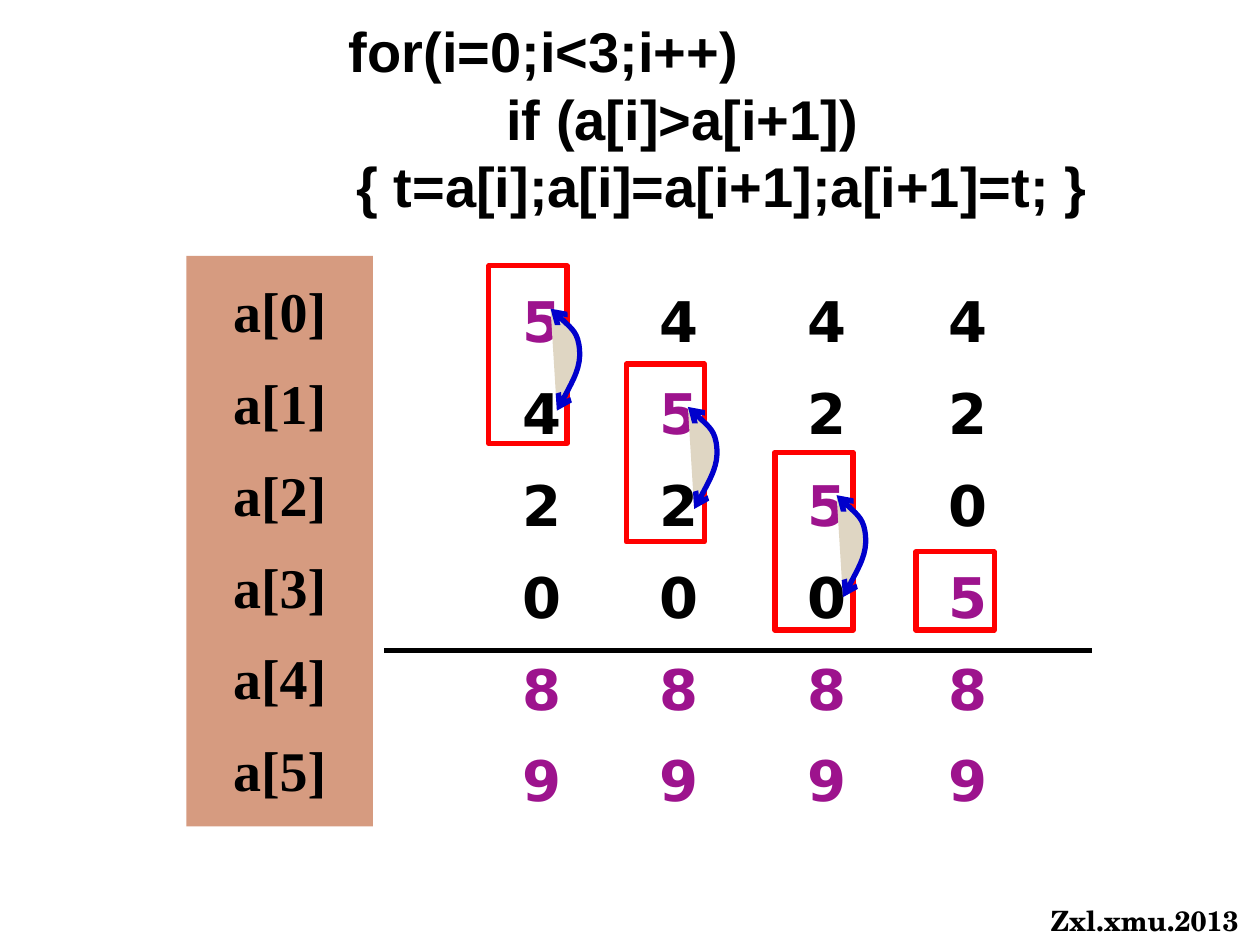
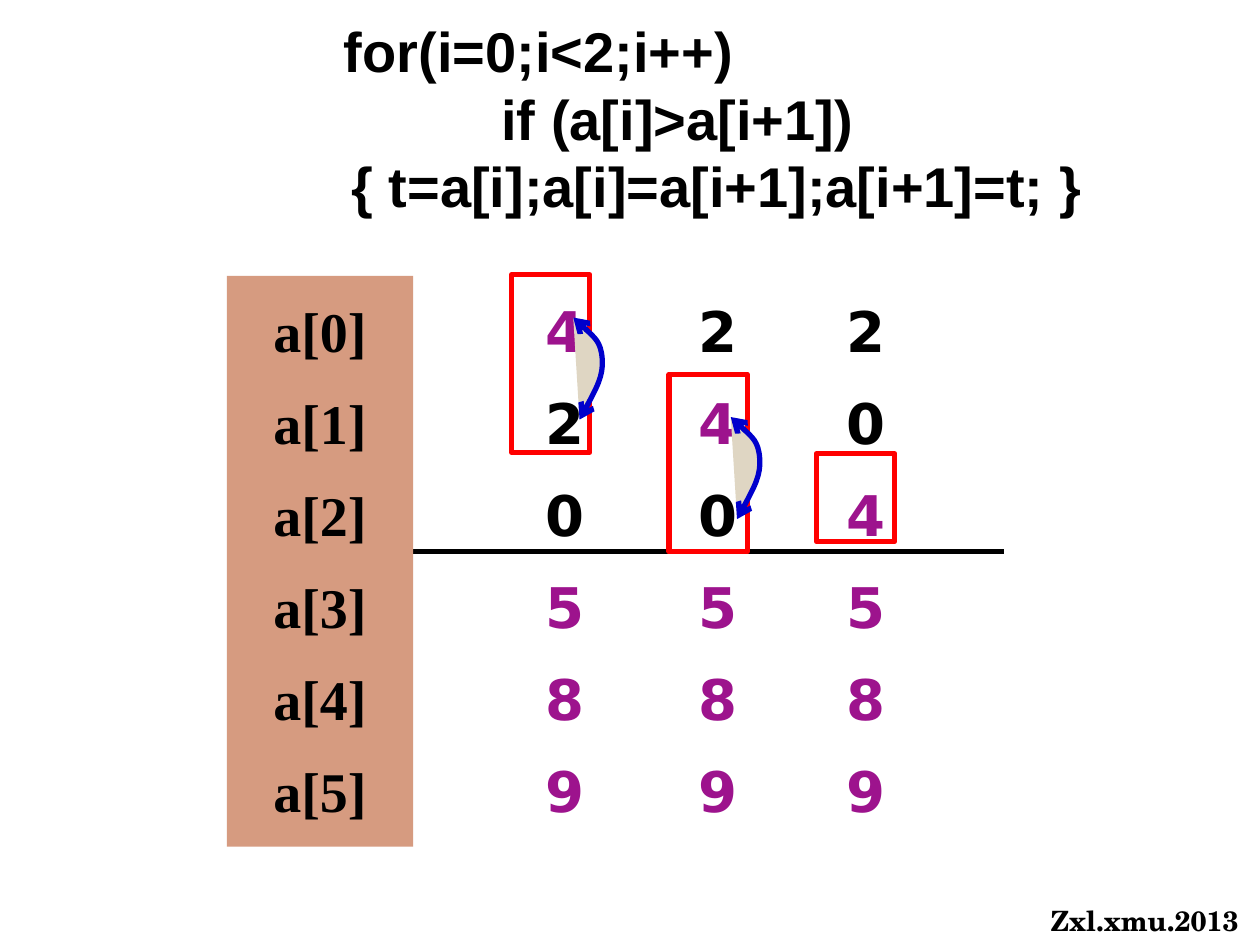
from lxml import etree
from pptx import Presentation
from pptx.dml.color import RGBColor
from pptx.enum.shapes import MSO_CONNECTOR, MSO_SHAPE
from pptx.enum.text import MSO_ANCHOR, PP_ALIGN
from pptx.oxml.ns import qn
from pptx.util import Inches, Pt

RECT, FRAME = MSO_SHAPE.RECTANGLE, MSO_SHAPE.FLOWCHART_PROCESS
STRAIGHT, TOP = MSO_CONNECTOR.STRAIGHT, MSO_ANCHOR.TOP
LEFT, CENTER = PP_ALIGN.LEFT, PP_ALIGN.CENTER
BLACK, WHITE, PURPLE, RED = "000000", "FFFFFF", "9D138D", "FF0000"
BLUE, SAND, CLAY = "0000CC", "DFD6C3", "D69B80"
hex_color = RGBColor.from_string

prs = Presentation()
prs.slide_width, prs.slide_height = Inches(10), Inches(7.5)
# The grid: one column and one row are each 1 % of the slide
COL, ROW = prs.slide_width / 100, prs.slide_height / 100


def add_box(slide, x, y, w, h, preset=None, fill=None, line=None):
    """Add a text box, or a preset shape if one is given."""
    place = [round(v) for v in (x * COL, y * ROW, w * COL, h * ROW)]
    if preset is None:
        return slide.shapes.add_textbox(*place)
    box = slide.shapes.add_shape(preset, *place)
    box.shadow.inherit = False
    if fill:
        box.fill.solid()
        box.fill.fore_color.rgb = hex_color(fill)
    else:
        box.fill.background()
    if line:
        box.line.color.rgb = hex_color(line)
        box.line.width = Pt(3)
    else:
        box.line.fill.background()
    return box


def write(box, lines, font, size=32, colors=None, align=CENTER, pitch=None,
          gap=0, inset=(0.1, 0.05), indents=None, wrap=True):
    """Fill a box with bold lines, one paragraph each."""
    frame = box.text_frame
    frame.word_wrap = wrap
    frame.vertical_anchor = TOP
    frame.margin_left, frame.margin_top = map(Inches, inset)
    for i, line in enumerate(lines):
        para = frame.paragraphs[0] if i == 0 else frame.add_paragraph()
        para.alignment = align
        para.space_after = Pt(gap)
        if pitch:
            para.line_spacing = Pt(pitch)
        if indents:
            para._p.get_or_add_pPr().set("marL", str(Inches(indents[i])))
        run = para.add_run()
        run.text = line
        run.font.name, run.font.size, run.font.bold = font, Pt(size), True
        run.font.color.rgb = hex_color(colors[i] if colors else BLACK)


LABELS = [f"a[{i}]" for i in range(6)]
LIST_HEIGHT, CELL_WIDTH = 60.4, 7.8
LIST_FORMAT = dict(pitch=44.5, gap=8, inset=(0.1, 0.08))
PAIR, FRAME_WIDTH = 18.8, 6.2
# Swap arrow: offsets from the frame's corner, two cubic curves
SWAP_CURVE = [(5.4, 15.33), (6.4, 12.93), (7.3, 10.67), (7.2, 8.93),
              (7.1, 7.07), (6, 5.87), (4.9, 4.53)]

# columns: x of the digits, the digits, then x, y and height of the frame
passes = [
    dict(limit=3, code_x=22.7, label_at=(14.8, 27.07), digits_y=28.13,
         divider=(30.5, 86.7, 68.8), sorted_from=4,
         columns=[(39.1, "542089", 38.8, 28.13, PAIR),
                  (50, "452089", 49.7, 38.53, PAIR),
                  (61.7, "425089", 61.5, 47.87, PAIR),
                  (72.9, "420589", 72.7, 58.4, 8.27)]),
    dict(limit=2, code_x=22.3, label_at=(18, 29.2), digits_y=29.2,
         divider=(32.8, 79.7, 58.4), sorted_from=3,
         columns=[(40.9, "420589", 40.6, 29.07, PAIR),
                  (53.1, "240589", 53.1, 39.6, PAIR),
                  (64.8, "204589", 64.8, 48, 9.33)]),
]

for step in passes:
    slide = prs.slides.add_slide(prs.slide_layouts[6])

    # Footer
    write(add_box(slide, 82.4, 94.93, 17.7, 4.93), ["Zxl.xmu.2013"],
          "TeX Gyre Schola", size=16, align=LEFT, wrap=False)

    # Divider above the sorted rows
    start, end, y = step["divider"]
    divider = slide.shapes.add_connector(
        STRAIGHT, round(start * COL), round(y * ROW),
        round(end * COL), round(y * ROW))
    divider.line.color.rgb = hex_color(BLACK)
    divider.line.width = Pt(3)
    etree.SubElement(divider._element.spPr, qn("a:effectLst"))

    # Array states, each with its compared cells framed
    for k, (x, digits, frame_x, frame_y, height) in enumerate(step["columns"]):
        colors = [PURPLE if row == k or row >= step["sorted_from"] else BLACK
                  for row in range(len(digits))]
        write(add_box(slide, x, step["digits_y"], CELL_WIDTH, LIST_HEIGHT),
              digits, "DejaVu Sans", colors=colors, **LIST_FORMAT)
        add_box(slide, frame_x, frame_y, FRAME_WIDTH, height, FRAME, line=RED)
        if height != PAIR:
            continue

        # Swap arrow, its segments turned into curves three by three
        points = [(round((frame_x + dx) * COL), round((frame_y + dy) * ROW))
                  for dx, dy in SWAP_CURVE]
        builder = slide.shapes.build_freeform(*points[0])
        builder.add_line_segments(points[1:], close=False)
        swap = builder.convert_to_shape()
        swap.shadow.inherit = False
        swap.fill.solid()
        swap.fill.fore_color.rgb = hex_color(SAND)
        swap.line.color.rgb = hex_color(BLUE)
        swap.line.width = Pt(3)
        for end_tag in ("a:headEnd", "a:tailEnd"):
            etree.SubElement(swap.line._get_or_add_ln(), qn(end_tag),
                             type="arrow")
        segments = list(swap._element.iter(qn("a:lnTo")))
        for i in range(0, len(segments), 3):
            curve = etree.Element(qn("a:cubicBezTo"))
            segments[i].addprevious(curve)
            for segment in segments[i:i + 3]:
                curve.append(segment[0])
                segment.getparent().remove(segment)

    # Index labels
    write(add_box(slide, *step["label_at"], 14.8, LIST_HEIGHT, RECT, fill=CLAY),
          LABELS, "Times New Roman", **LIST_FORMAT)

    # Code of this pass
    write(add_box(slide, step["code_x"], 1.07, 65.4, 22.93, RECT, fill=WHITE),
          [f"for(i=0;i<{step['limit']};i++)", "if (a[i]>a[i+1])",
           "{ t=a[i];a[i]=a[i+1];a[i+1]=t; }"],
          "Arial", align=LEFT, pitch=38.6, inset=(0.5, 0.05),
          indents=(0, 1.25, 0.06), wrap=True)

prs.save("out.pptx")
